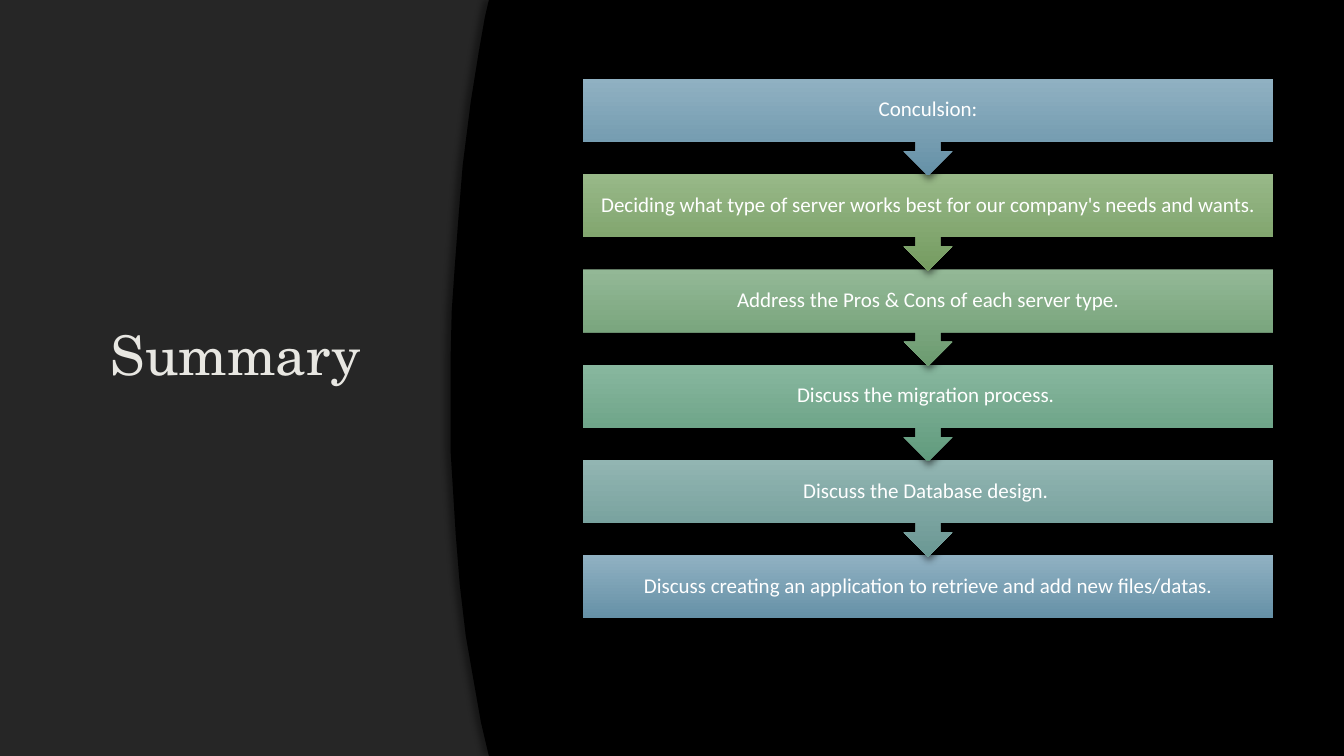
from dataclasses import dataclass

import lxml.etree
import pptx
import pptx.dml.color
import pptx.enum.shapes
import pptx.enum.text
import pptx.oxml
import pptx.oxml.ns
import pptx.util

RGBColor = pptx.dml.color.RGBColor
MSO_SHAPE = pptx.enum.shapes.MSO_SHAPE
PP_ALIGN = pptx.enum.text.PP_ALIGN

BLACK = RGBColor(0x00, 0x00, 0x00)
CHARCOAL = RGBColor(0x26, 0x26, 0x26)
OUTLINE_GREY = RGBColor(0x40, 0x40, 0x40)
IVORY = RGBColor(0xE8, 0xE7, 0xE2)
WHITE = RGBColor(0xFF, 0xFF, 0xFF)
BLUE = (RGBColor(0x90, 0xB1, 0xC2), RGBColor(0x66, 0x91, 0xA7))
OLIVE = (RGBColor(0x98, 0xB8, 0x88), RGBColor(0x75, 0x9C, 0x61))
GREEN = (RGBColor(0x93, 0xB8, 0x96), RGBColor(0x6C, 0x9B, 0x70))
JADE = (RGBColor(0x88, 0xB7, 0x9F), RGBColor(0x61, 0x9B, 0x7D))
TEAL = (RGBColor(0x92, 0xB5, 0xB2), RGBColor(0x6B, 0x98, 0x94))

SLIDE_WIDTH = pptx.util.Inches(13.33)
SLIDE_HEIGHT = pptx.util.Inches(7.5)

# Percentages of the slide's width or height
STEP_LEFT, STEP_WIDTH = 43.36, 51.39
STEP_TOP, STEP_PITCH = 10.4, 12.61
BOX_HEIGHT, CALLOUT_HEIGHT = 8.27, 12.8
CURVE = [
    (36.38, 0), (36.08, 2.27), (35.63, 6.8), (35.03, 13.47), (34.43, 21.87),
    (34.13, 28.4), (33.83, 35.47), (33.61, 41.2), (33.53, 47.2),
    (33.53, 59.73), (33.68, 64), (33.91, 70.67), (34.21, 77.33),
    (34.66, 84.13), (35.33, 90.93), (35.78, 95.47), (36.38, 100),
]


@dataclass(frozen=True)
class Step:
    text: str
    gradient: tuple[RGBColor, RGBColor]


STEPS = [
    Step("Conculsion:", BLUE),
    Step("Deciding what type of server works best for our company's needs and wants.", OLIVE),
    Step("Address the Pros & Cons of each server type.", GREEN),
    Step("Discuss the migration process. ", JADE),
    Step("Discuss the Database design. ", TEAL),
    Step("Discuss creating an application to retrieve and add new files/datas.", BLUE),
]


def across(percent: float) -> int:
    return round(SLIDE_WIDTH * percent / 100)


def down(percent: float) -> int:
    return round(SLIDE_HEIGHT * percent / 100)


def drawing_element(markup: str) -> lxml.etree.ElementBase:
    """Parse DrawingML whose root carries a trailing namespace slot, {ns}."""
    return pptx.oxml.parse_xml(markup.replace("{ns}", pptx.oxml.ns.nsdecls("a")))


def shadow_effects(opacity: int, blur: float, distance: float, angle: int) -> lxml.etree.ElementBase:
    return drawing_element(
        f'<a:effectLst {{ns}}><a:outerShdw blurRad="{pptx.util.Pt(blur)}" '
        f'dist="{pptx.util.Pt(distance)}" dir="{angle * 60000}" algn="ctr" rotWithShape="0">'
        f'<a:srgbClr val="{BLACK}"><a:alpha val="{opacity * 1000}"/></a:srgbClr>'
        '</a:outerShdw></a:effectLst>'
    )


def set_shadow(shape, opacity: int, blur: float, distance: float, angle: int) -> None:
    shape.shadow.inherit = False
    plain = shape._element.spPr.find(pptx.oxml.ns.qn("a:effectLst"))
    plain.getparent().replace(plain, shadow_effects(opacity, blur, distance, angle))


def write_text(shape, text: str, *, size: float, font: str, color: RGBColor,
               align: PP_ALIGN, inset: tuple[float, float]):
    """Fill the shape with one middle-anchored paragraph and return its run."""
    frame = shape.text_frame
    frame.word_wrap = True
    frame.auto_size = pptx.enum.text.MSO_AUTO_SIZE.NONE
    frame.vertical_anchor = pptx.enum.text.MSO_ANCHOR.MIDDLE
    frame.margin_left = frame.margin_right = pptx.util.Inches(inset[0])
    frame.margin_top = frame.margin_bottom = pptx.util.Inches(inset[1])
    paragraph = frame.paragraphs[0]
    paragraph.alignment = align
    paragraph.line_spacing = 0.9
    run = paragraph.add_run()
    run.text = text
    run.font.size = pptx.util.Pt(size)
    run.font.name = font
    run.font.color.rgb = color
    return run


def draw_backdrop(slide) -> None:
    slide.background.fill.solid()
    slide.background.fill.fore_color.rgb = BLACK
    panel = slide.shapes.add_shape(MSO_SHAPE.RECTANGLE, 0, 0, SLIDE_WIDTH, SLIDE_HEIGHT)
    panel.shadow.inherit = False
    corners = [(100, 100), (100, 0)]
    outline = [(across(x), down(y)) for x, y in CURVE + corners]
    builder = slide.shapes.build_freeform(*outline[0])
    builder.add_line_segments(outline[1:], close=True)
    curtain = builder.convert_to_shape()
    set_shadow(curtain, 40, 4, 3, 180)
    for area, color in ((panel, CHARCOAL), (curtain, BLACK)):
        area.fill.solid()
        area.fill.fore_color.rgb = color
        area.line.fill.background()


def draw_title(slide) -> None:
    title = slide.shapes.title
    title.left, title.top = across(7.5), down(8.93)
    title.width, title.height = across(22.96), down(76.93)
    run = write_text(title, "Summary", size=39, font="TeX Gyre Schola", color=IVORY,
                     align=PP_ALIGN.LEFT, inset=(0.1, 0.05))
    properties = run.font._element
    properties.find(pptx.oxml.ns.qn("a:solidFill")).addnext(shadow_effects(40, 3, 1.5, 45))
    properties.insert(0, drawing_element(
        f'<a:ln {{ns}} w="{pptx.util.Pt(0.75)}"><a:solidFill><a:srgbClr val="{OUTLINE_GREY}">'
        '<a:alpha val="10000"/></a:srgbClr></a:solidFill></a:ln>'
    ))
    # The placeholder comes first in the tree; bring it in front of the panel
    slide.shapes._spTree.append(title._element)


def draw_step(slide, step: Step, row: int) -> None:
    last = row == len(STEPS) - 1
    box = slide.shapes.add_shape(
        MSO_SHAPE.RECTANGLE if last else MSO_SHAPE.DOWN_ARROW_CALLOUT,
        across(STEP_LEFT), down(STEP_TOP + row * STEP_PITCH),
        across(STEP_WIDTH), down(BOX_HEIGHT if last else CALLOUT_HEIGHT),
    )
    box.fill.gradient()
    box.fill.gradient_angle = 270
    for stop, color, position in zip(box.fill.gradient_stops, step.gradient, (0, 1)):
        stop.color.rgb = color
        stop.position = position
    box.line.fill.background()
    set_shadow(box, 60, 5, 2, 90)
    write_text(box, step.text, size=15, font="Calibri", color=WHITE,
               align=PP_ALIGN.CENTER, inset=(0.12, 0.12))


def main() -> None:
    presentation = pptx.Presentation()
    presentation.slide_width = SLIDE_WIDTH
    presentation.slide_height = SLIDE_HEIGHT
    slide = presentation.slides.add_slide(presentation.slide_layouts.get_by_name("Title Only"))
    draw_backdrop(slide)
    draw_title(slide)
    for row, step in reversed(list(enumerate(STEPS))):
        draw_step(slide, step, row)
    presentation.save("out.pptx")


if __name__ == "__main__":
    main()
